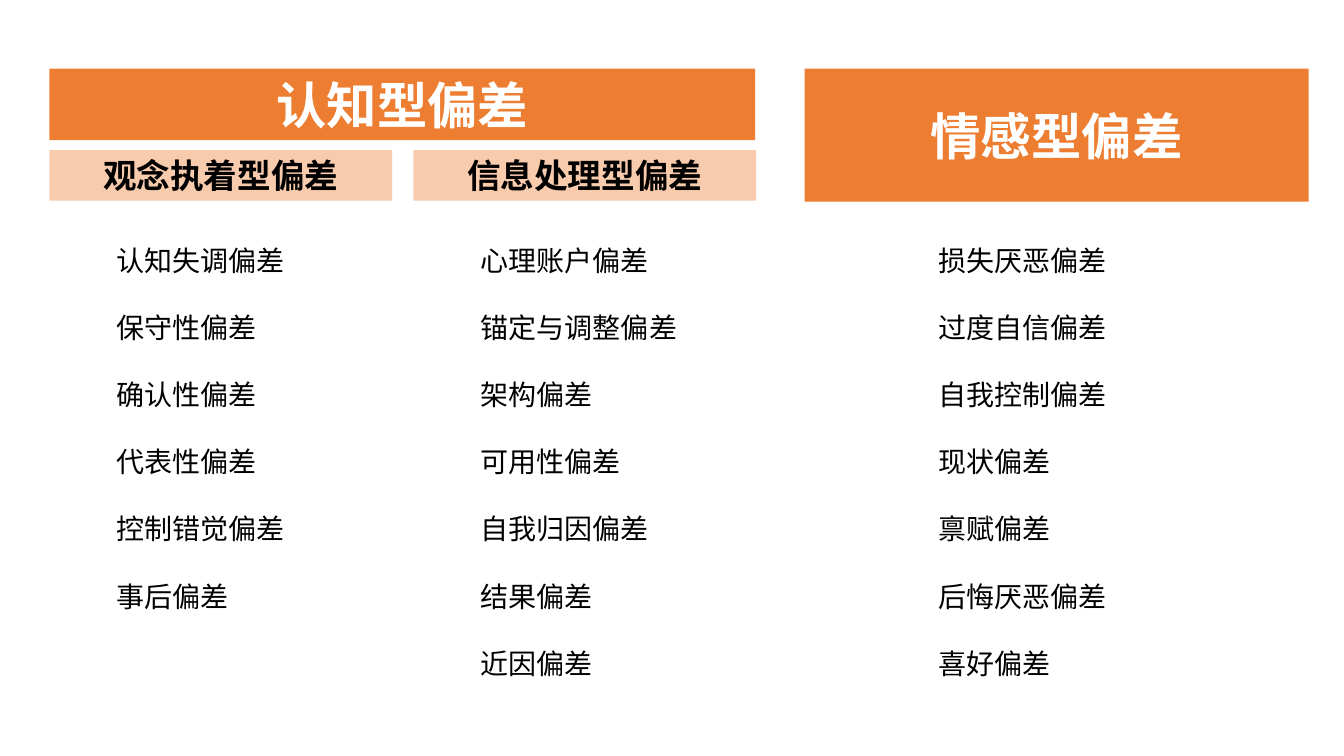
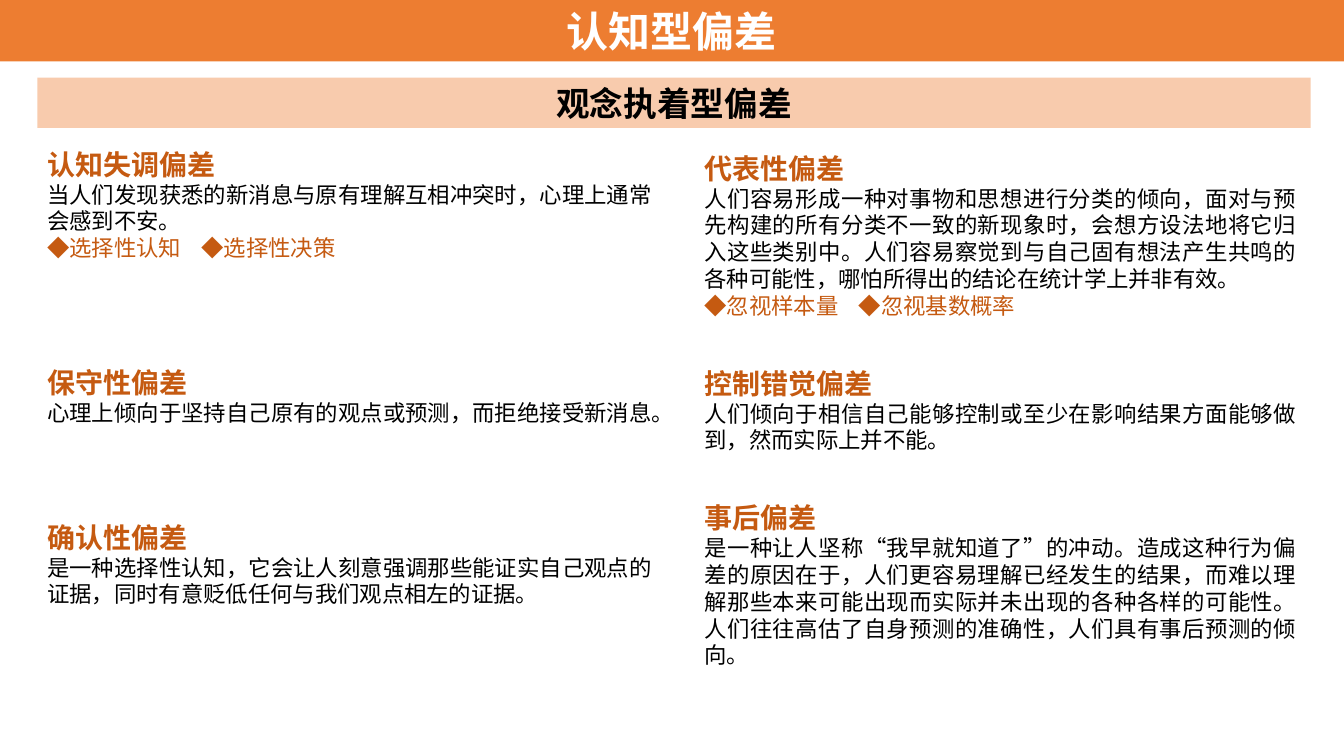
from dataclasses import dataclass
from lxml.etree import SubElement
from pptx import Presentation
from pptx.dml.color import RGBColor
from pptx.enum.shapes import MSO_SHAPE
from pptx.enum.text import MSO_ANCHOR, MSO_AUTO_SIZE, PP_ALIGN
from pptx.oxml.ns import qn
from pptx.util import Inches, Pt

RECT = MSO_SHAPE.RECTANGLE
MIDDLE = MSO_ANCHOR.MIDDLE
FIXED = MSO_AUTO_SIZE.NONE
LEFT, CENTER, JUSTIFY = PP_ALIGN.LEFT, PP_ALIGN.CENTER, PP_ALIGN.JUSTIFY


@dataclass(frozen=True)
class Theme:
    font: str = "Noto Sans CJK SC"
    orange: str = "ED7D31"
    peach: str = "F8CBAD"
    rust: str = "C55A11"
    black: str = "000000"
    white: str = "FFFFFF"
    hero: int = 36
    title: int = 30
    band: int = 24
    head: int = 20
    body: int = 16
    leading: float = 1.2


theme = Theme()


def style(para, text, size, color, bold=False, align=LEFT):
    para.text = text
    para.alignment = align
    font = para.font
    font.name, font.size, font.bold = theme.font, Pt(size), bold
    font.color.rgb = RGBColor.from_string(color)
    props = para._p.pPr.find(qn("a:defRPr"))
    SubElement(props, qn("a:ea"), typeface=theme.font)


def band(shape, box, text, size, fill, color):
    shape.left, shape.top, shape.width, shape.height = map(Inches, box)
    shape.fill.solid()
    shape.fill.fore_color.rgb = RGBColor.from_string(fill)
    shape.line.fill.background()
    frame = shape.text_frame
    frame.word_wrap, frame.auto_size = True, FIXED
    frame.vertical_anchor = MIDDLE
    frame.margin_top = frame.margin_bottom = 0
    style(frame.paragraphs[0], text, size, color, True, CENTER)


deck = Presentation()
deck.slide_width, deck.slide_height = Inches(13.33), Inches(7.5)
layout = deck.slide_layouts.get_by_name("Title Only")

slide = deck.slides.add_slide(layout)
band(slide.shapes.title, (0.49, 0.68, 7, 0.71), "认知型偏差",
     theme.hero, theme.orange, theme.white)

bands = [
    ((0.49, 1.49, 3.4, 0.5), "观念执着型偏差", theme.band, theme.peach, theme.black),
    ((4.1, 1.49, 3.4, 0.5), "信息处理型偏差", theme.band, theme.peach, theme.black),
    ((7.98, 0.68, 5, 1.32), "情感型偏差", theme.hero, theme.orange, theme.white),
]
for box, *look in bands:
    shape = slide.shapes.add_shape(RECT, *map(Inches, box))
    shape.shadow.inherit = False
    band(shape, box, *look)

lists = [
    (1.06, ["认知失调偏差", "保守性偏差", "确认性偏差", "代表性偏差",
            "控制错觉偏差", "事后偏差"]),
    (4.67, ["心理账户偏差", "锚定与调整偏差", "架构偏差", "可用性偏差",
            "自我归因偏差", "结果偏差", "近因偏差"]),
    (9.21, ["损失厌恶偏差", "过度自信偏差", "自我控制偏差", "现状偏差",
            "禀赋偏差", "后悔厌恶偏差", "喜好偏差"]),
]
for left, names in lists:
    frame = slide.shapes.add_textbox(
        Inches(left), Inches(2.03), Inches(2.6), Inches(4.7)).text_frame
    frame.word_wrap = True
    for index, name in enumerate(names):
        para = frame.add_paragraph() if index else frame.paragraphs[0]
        para.line_spacing = Pt(2 * theme.leading * theme.head)
        style(para, name, theme.head, theme.black)

slide = deck.slides.add_slide(layout)
band(slide.shapes.title, (0, 0, 13.33, 0.61), "认知型偏差",
     theme.title, theme.orange, theme.white)
box = (0.37, 0.77, 12.63, 0.5)
shape = slide.shapes.add_shape(RECT, *map(Inches, box))
shape.shadow.inherit = False
band(shape, box, "观念执着型偏差", theme.band, theme.peach, theme.black)

columns = [
    ((0.37, 1.41, 6.2, 4.98), [
        (0, "认知失调偏差",
         "当人们发现获悉的新消息与原有理解互相冲突时，心理上通常会感到不安。",
         ["◆选择性认知", "◆选择性决策"]),
        (74.4, "保守性偏差",
         "心理上倾向于坚持自己原有的观点或预测，而拒绝接受新消息。", []),
        (67.2, "确认性偏差",
         "是一种选择性认知，它会让人刻意强调那些能证实自己观点的证据，"
         "同时有意贬低任何与我们观点相左的证据。", []),
    ]),
    ((6.89, 1.45, 6.07, 5.28), [
        (0, "代表性偏差",
         "人们容易形成一种对事物和思想进行分类的倾向，面对与预先构建的所有分类"
         "不一致的新现象时，会想方设法地将它归入这些类别中。人们容易察觉到与自己"
         "固有想法产生共鸣的各种可能性，哪怕所得出的结论在统计学上并非有效。",
         ["◆忽视样本量", "◆忽视基数概率"]),
        (33.6, "控制错觉偏差",
         "人们倾向于相信自己能够控制或至少在影响结果方面能够做到，"
         "然而实际上并不能。", []),
        (33.6, "事后偏差",
         "是一种让人坚称“我早就知道了”的冲动。造成这种行为偏差的原因在于，"
         "人们更容易理解已经发生的结果，而难以理解那些本来可能出现而实际并未出现的"
         "各种各样的可能性。人们往往高估了自身预测的准确性，"
         "人们具有事后预测的倾向。", []),
    ]),
]
for box, topics in columns:
    frame = slide.shapes.add_textbox(*map(Inches, box)).text_frame
    frame.word_wrap = True
    for gap, name, text, kinds in topics:
        rows = [(name, theme.head, theme.rust, True, JUSTIFY),
                (text, theme.body, theme.black, False, JUSTIFY)]
        if kinds:
            rows.append(("\t".join(kinds), theme.body, theme.rust, False, LEFT))
        for index, row in enumerate(rows):
            first = name == topics[0][1] and index == 0
            para = frame.paragraphs[0] if first else frame.add_paragraph()
            para.line_spacing = Pt(theme.leading * row[1])
            para.space_before = Pt(0 if index else gap)
            style(para, *row)
        if kinds:
            props = para._p.pPr
            tabs = SubElement(props, qn("a:tabLst"))
            SubElement(tabs, qn("a:tab"), pos=str(Inches(1.53)), algn="l")
            props.find(qn("a:defRPr")).addprevious(tabs)

deck.save("out.pptx")
